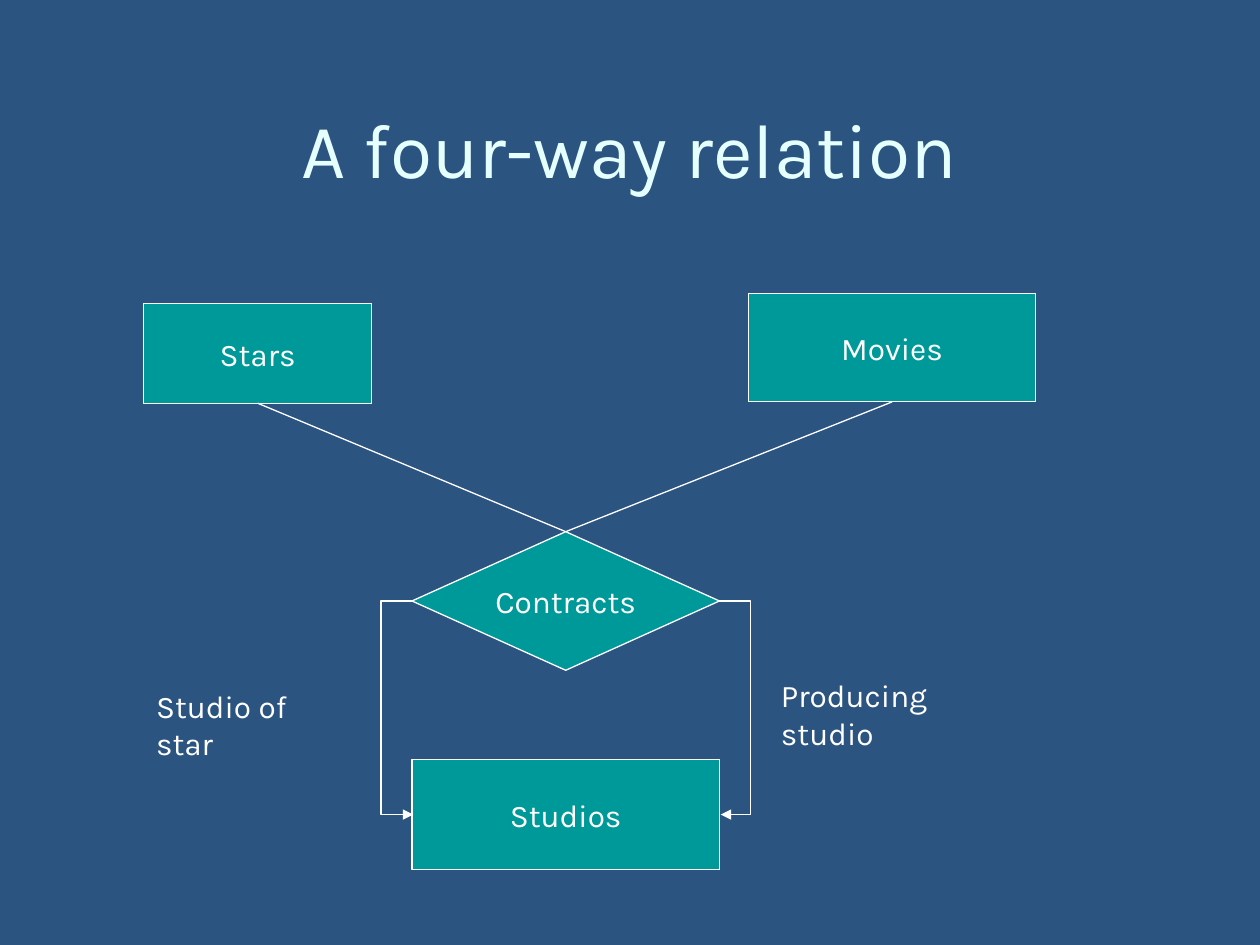
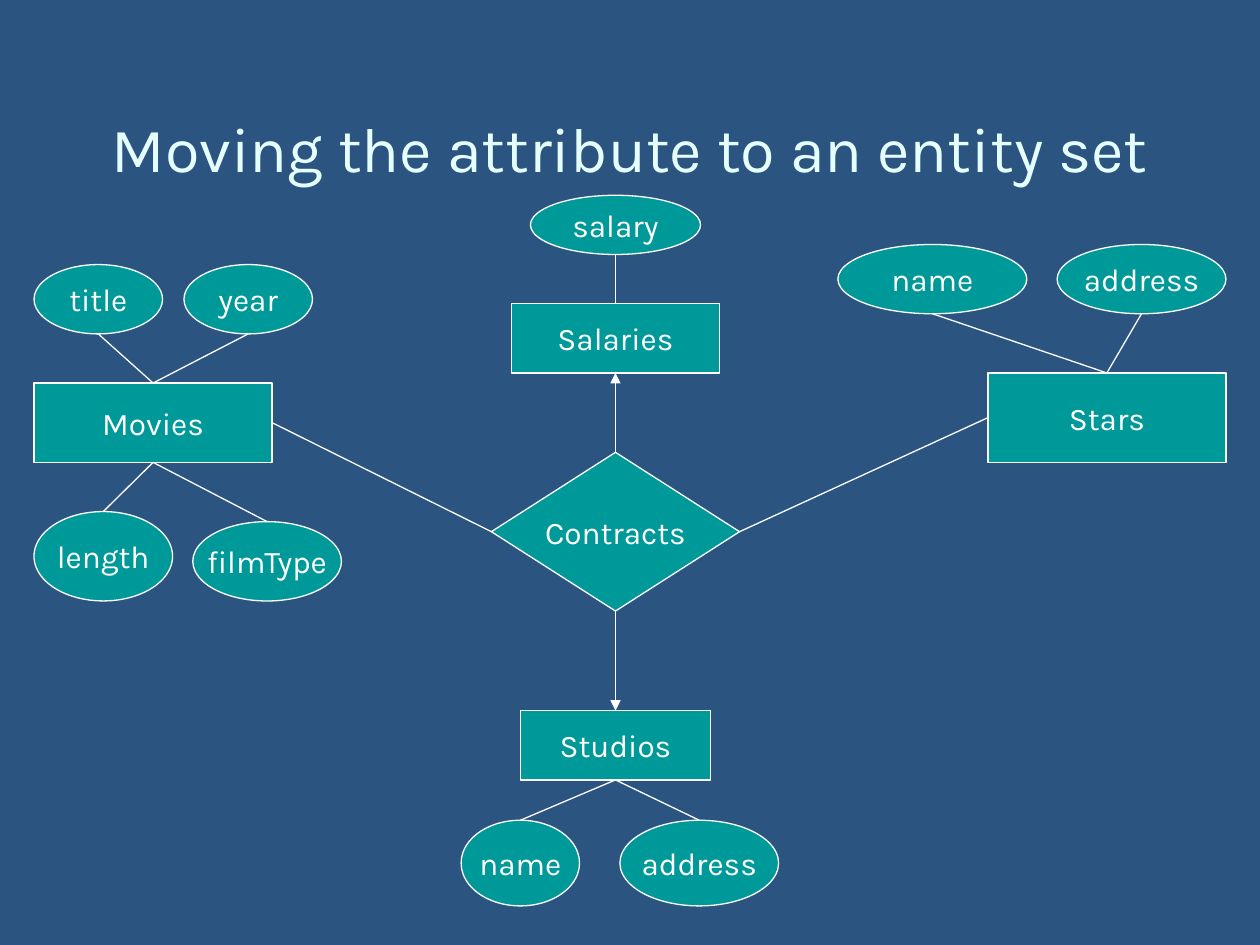
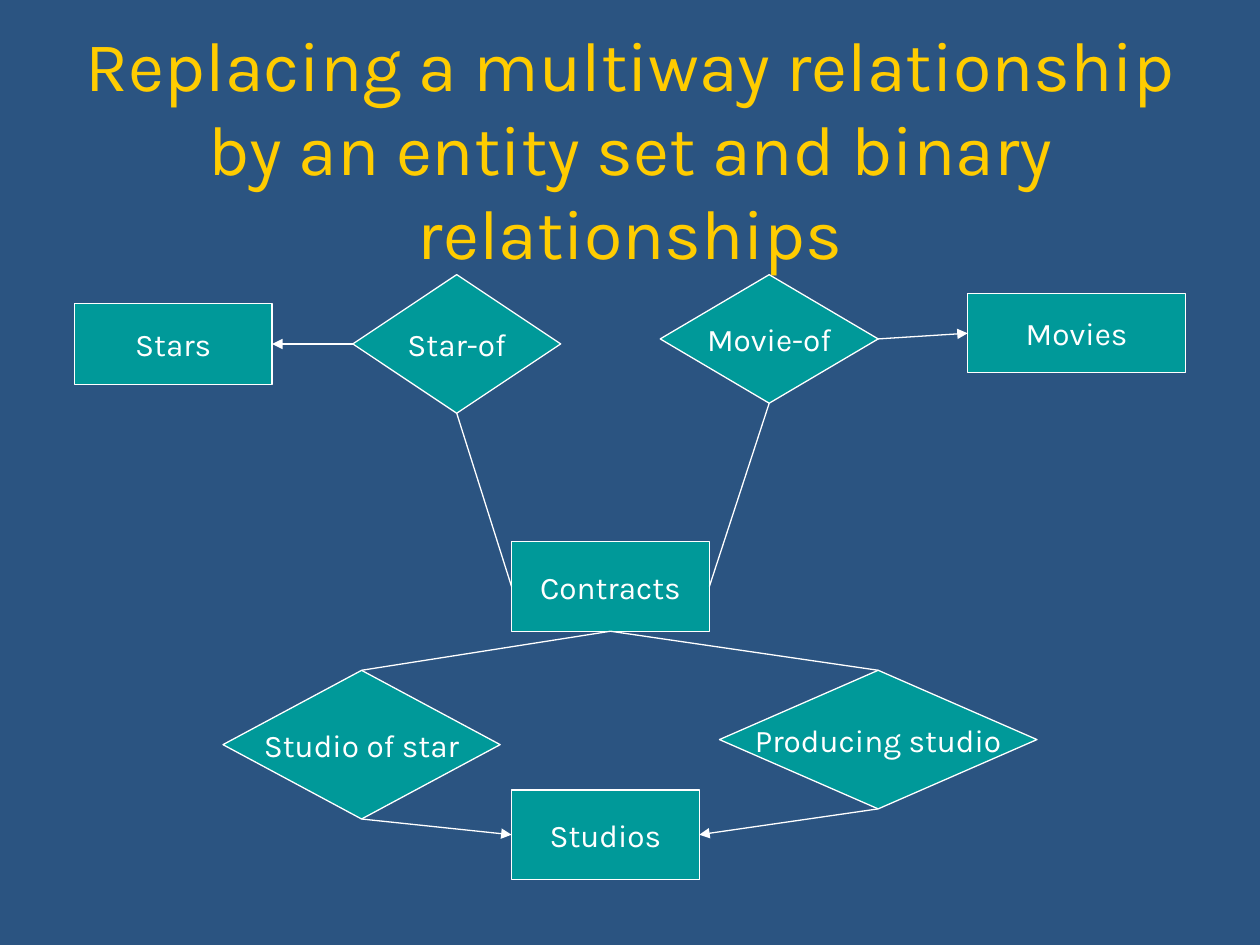
"""Build three entity-relationship diagram slides on multiway relationships."""
from lxml import etree
from pptx import Presentation
from pptx.dml.color import RGBColor
from pptx.enum.shapes import MSO_CONNECTOR, MSO_SHAPE
from pptx.enum.text import MSO_ANCHOR, MSO_AUTO_SIZE, PP_ALIGN
from pptx.oxml.ns import qn
from pptx.util import Inches, Pt

NAVY = RGBColor(0x2B, 0x54, 0x81)
TEAL = RGBColor(0x00, 0x99, 0x99)
WHITE = RGBColor(0xFF, 0xFF, 0xFF)
PALE = RGBColor(0xE5, 0xFF, 0xFF)
GOLD = RGBColor(0xFF, 0xCC, 0x00)
FONT = "Karla"

RECT, OVAL, DIAMOND = MSO_SHAPE.RECTANGLE, MSO_SHAPE.OVAL, MSO_SHAPE.FLOWCHART_DECISION
STRAIGHT, ELBOW = MSO_CONNECTOR.STRAIGHT, MSO_CONNECTOR.ELBOW
MIDDLE, CENTER = MSO_ANCHOR.MIDDLE, PP_ALIGN.CENTER
NO_FIT, GROW = MSO_AUTO_SIZE.NONE, MSO_AUTO_SIZE.SHAPE_TO_FIT_TEXT
TOP, LEFT, BOTTOM, RIGHT = range(4)
OVAL_BOTTOM = 4
ELBOW_WIDTH, ELBOW_REACH = 0.01, 0.25

SLIDES = [
    {
        "title": ("A four-way relation", 44, PALE),
        "nodes": {
            "Stars": (RECT, 1.14, 2.41, 1.81, 0.79),
            "Movies": (RECT, 5.94, 2.33, 2.28, 0.86),
            "Studios": (RECT, 3.27, 6.03, 2.44, 0.87),
            "Contracts": (DIAMOND, 3.27, 4.22, 2.44, 1.1),
        },
        "links": [
            ("Movies", BOTTOM, "Contracts", TOP),
            ("Stars", BOTTOM, "Contracts", TOP),
        ],
        "arrows": [
            ("Contracts", RIGHT, "Studios", RIGHT),
            ("Contracts", LEFT, "Studios", LEFT),
        ],
        "labels": [
            ("Producing studio", 6.1, 5.32, 2.03),
            ("Studio of star", 1.14, 5.4, 1.68),
        ],
    },
    {
        "title": ("Moving the attribute to an entity set", 36, PALE),
        "nodes": {
            "Movies": (RECT, 0.27, 3.04, 1.89, 0.63),
            "title": (OVAL, 0.27, 2.1, 1.02, 0.55),
            "year": (OVAL, 1.46, 2.1, 1.02, 0.55),
            "length": (OVAL, 0.27, 4.06, 1.1, 0.71),
            "filmType": (OVAL, 1.53, 4.14, 1.18, 0.63),
            "Stars": (RECT, 7.84, 2.96, 1.89, 0.71),
            "Stars.name": (OVAL, 6.65, 1.94, 1.5, 0.55),
            "Stars.address": (OVAL, 8.39, 1.94, 1.34, 0.55),
            "Studios": (RECT, 4.13, 5.64, 1.51, 0.55),
            "Studios.name": (OVAL, 3.66, 6.51, 0.94, 0.68),
            "Studios.address": (OVAL, 4.92, 6.51, 1.26, 0.68),
            "Contracts": (DIAMOND, 3.9, 3.59, 1.97, 1.26),
            "salary": (OVAL, 4.21, 1.55, 1.35, 0.47),
            "Salaries": (RECT, 4.06, 2.41, 1.65, 0.55),
        },
        "links": [
            ("year", BOTTOM, "Movies", TOP),
            ("title", BOTTOM, "Movies", TOP),
            ("Movies", BOTTOM, "filmType", TOP),
            ("Movies", BOTTOM, "length", TOP),
            ("Studios", BOTTOM, "Studios.address", TOP),
            ("Studios", BOTTOM, "Studios.name", TOP),
            ("Stars", LEFT, "Contracts", RIGHT),
            ("Movies", RIGHT, "Contracts", LEFT),
            ("Stars.name", BOTTOM, "Stars", TOP),
            ("Stars.address", BOTTOM, "Stars", TOP),
            ("salary", BOTTOM, "Salaries", TOP),
        ],
        "arrows": [
            ("Contracts", BOTTOM, "Studios", TOP),
            ("Contracts", TOP, "Salaries", BOTTOM),
        ],
        "labels": [],
    },
    {
        "title": ("Replacing a multiway relationship by an entity set "
                  "and binary relationships", 40, GOLD),
        "nodes": {
            "Stars": (RECT, 0.59, 2.41, 1.57, 0.64),
            "Movies": (RECT, 7.68, 2.33, 1.73, 0.63),
            "Contracts": (RECT, 4.06, 4.3, 1.57, 0.71),
            "Studios": (RECT, 4.06, 6.27, 1.49, 0.71),
            "Movie-of": (DIAMOND, 5.24, 2.18, 1.73, 1.02),
            "Star-of": (DIAMOND, 2.8, 2.18, 1.65, 1.1),
            "Producing studio": (DIAMOND, 5.71, 5.32, 2.52, 1.1),
            "Studio of star": (DIAMOND, 1.77, 5.32, 2.2, 1.18),
        },
        "links": [
            ("Movie-of", BOTTOM, "Contracts", RIGHT),
            ("Star-of", BOTTOM, "Contracts", LEFT),
            ("Contracts", BOTTOM, "Studio of star", TOP),
            ("Contracts", BOTTOM, "Producing studio", TOP),
        ],
        "arrows": [
            ("Star-of", LEFT, "Stars", RIGHT),
            ("Movie-of", RIGHT, "Movies", LEFT),
            ("Studio of star", BOTTOM, "Studios", LEFT),
            ("Producing studio", BOTTOM, "Studios", RIGHT),
        ],
        "labels": [],
    },
]


def add_text(tf, text, size=18, color=WHITE, align=None):
    """Write one formatted run into the first paragraph."""
    p = tf.paragraphs[0]
    p.alignment = align
    r = p.add_run()
    r.text = text
    r.font.name, r.font.size, r.font.color.rgb = FONT, Pt(size), color


def add_link(s, start, start_site, end, end_site, arrow):
    """Join two shapes, with an outward elbow when both ends are on the same side."""
    bent = start_site == end_site
    cxn = s.shapes.add_connector(ELBOW if bent else STRAIGHT, 0, 0, 0, 0)
    cxn.begin_connect(start, start_site)
    cxn.end_connect(end, end_site)
    if start.auto_shape_type == OVAL:
        cxn._element.nvCxnSpPr.cNvCxnSpPr.stCxn.idx = OVAL_BOTTOM
    cxn.line.color.rgb, cxn.line.width = WHITE, Pt(0.75)
    spPr = cxn._element.spPr
    if arrow:
        etree.SubElement(spPr.find(qn("a:ln")), qn("a:tailEnd"), type="triangle")
    etree.SubElement(spPr, qn("a:effectLst"))
    if bent:
        spPr.find(qn("a:xfrm")).flipH = False
        cxn.width = Inches(ELBOW_WIDTH)
        reach = ELBOW_REACH if start_site == RIGHT else -ELBOW_REACH
        adj = round(reach / ELBOW_WIDTH * 100000)
        avLst = spPr.find(qn("a:prstGeom")).find(qn("a:avLst"))
        etree.SubElement(avLst, qn("a:gd"), name="adj1", fmla=f"val {adj}")


prs = Presentation()
prs.slide_width, prs.slide_height = Inches(10), Inches(7.5)
fill = prs.slide_master.background.fill
fill.solid()
fill.fore_color.rgb = NAVY
title_only = prs.slide_layouts[5]

for data in SLIDES:
    s = prs.slides.add_slide(title_only)
    title = s.shapes.title
    title.left, title.top = Inches(0.5), Inches(0.42)
    title.width, title.height = Inches(9), Inches(1.5)
    tf = title.text_frame
    tf.auto_size, tf.vertical_anchor = NO_FIT, MIDDLE
    text, size, color = data["title"]
    add_text(tf, text, size, color, CENTER)

    nodes = {}
    for key, (kind, *box) in data["nodes"].items():
        sp = s.shapes.add_shape(kind, *map(Inches, box))
        sp.shadow.inherit = False
        sp.fill.solid()
        sp.fill.fore_color.rgb = TEAL
        sp.line.color.rgb, sp.line.width = WHITE, Pt(0.75)
        tf = sp.text_frame
        tf.word_wrap, tf.vertical_anchor = False, MIDDLE
        add_text(tf, key.split(".")[-1], align=CENTER)
        nodes[key] = sp

    for group in ("links", "arrows"):
        for start, start_site, end, end_site in data[group]:
            add_link(s, nodes[start], start_site, nodes[end], end_site, group == "arrows")

    for text, x, y, w in data["labels"]:
        tf = s.shapes.add_textbox(Inches(x), Inches(y), Inches(w), Inches(0.4)).text_frame
        tf.word_wrap, tf.auto_size = True, GROW
        add_text(tf, text)

prs.save("out.pptx")
